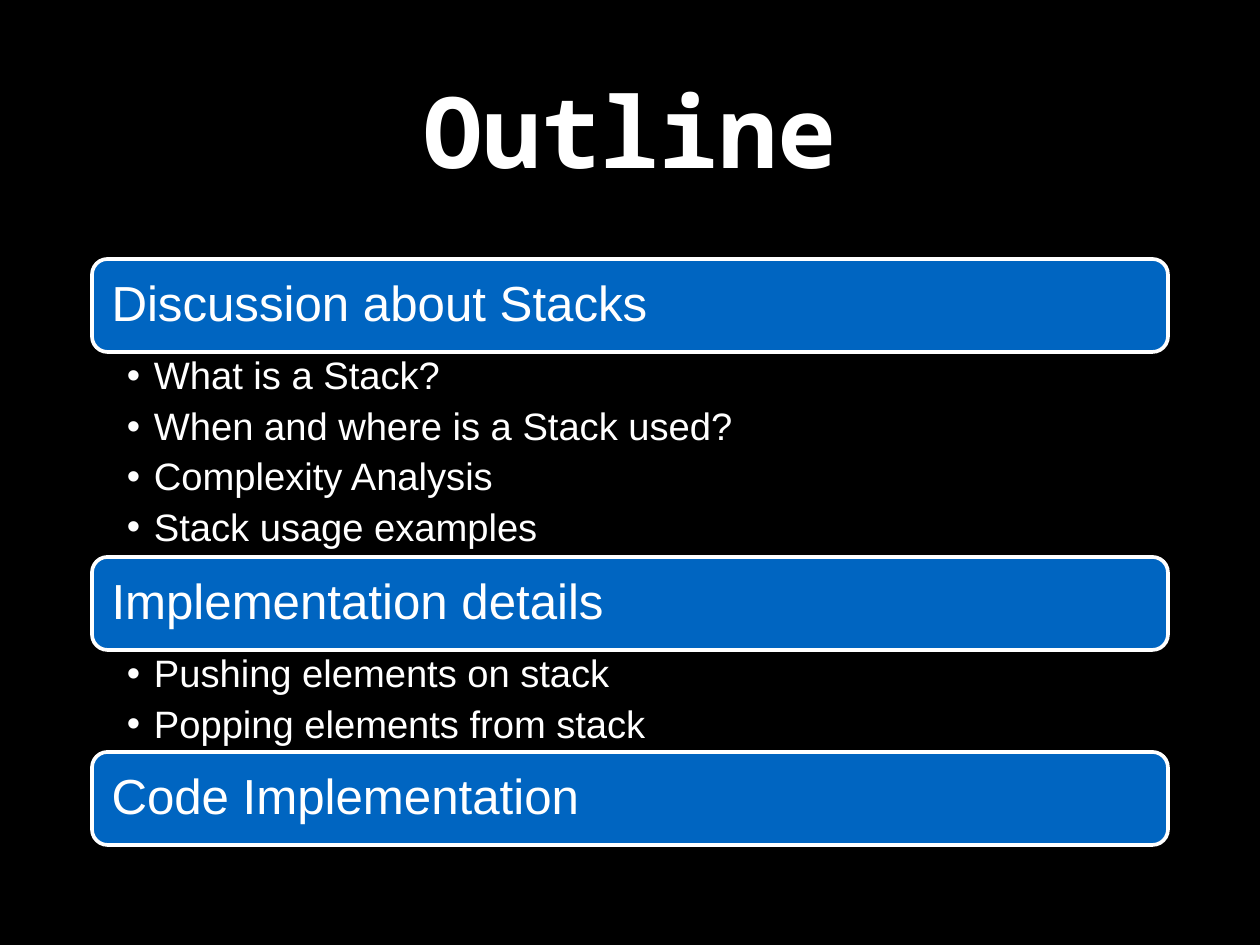
from dataclasses import dataclass

from lxml.etree import SubElement
from pptx import Presentation
from pptx.dml.color import RGBColor
from pptx.enum.shapes import MSO_SHAPE
from pptx.enum.text import MSO_ANCHOR, PP_ALIGN
from pptx.oxml.ns import qn
from pptx.util import Pt

EMU_PER_PX = 10320
LEFT, WIDTH = 92, 1076
OUTLINE_TOP, BAR_HEIGHT = 259, 93

SECTIONS = [
    ("Discussion about Stacks", 205, [
        "What is a Stack?",
        "When and where is a Stack used?",
        "Complexity Analysis",
        "Stack usage examples",
    ]),
    ("Implementation details", 102, [
        "Pushing elements on stack",
        "Popping elements from stack",
    ]),
    ("Code Implementation", 0, []),
]


@dataclass(frozen=True)
class Theme:
    background: RGBColor = RGBColor(0x00, 0x00, 0x00)
    text: RGBColor = RGBColor(0xFF, 0xFF, 0xFF)
    bar: RGBColor = RGBColor(0x00, 0x65, 0xC1)
    title_font: str = "Noto Sans Mono"
    body_font: str = "Arial"
    title_size: int = 80
    heading_size: int = 40
    item_size: int = 31
    outline: int = 3


THEME = Theme()


def px(length):
    return length * EMU_PER_PX


def area(top, height):
    return px(LEFT), px(top), px(WIDTH), px(height)


def set_frame(shape, anchor, insets):
    frame = shape.text_frame
    frame.word_wrap = True
    frame.vertical_anchor = anchor
    (frame.margin_left, frame.margin_top,
     frame.margin_right, frame.margin_bottom) = map(px, insets)
    return frame


def write(para, text, *, size, font=THEME.body_font, bold=False,
          align=PP_ALIGN.LEFT, line_spacing=None, space_after=0):
    para.alignment = align
    para.line_spacing = line_spacing
    para.space_after = Pt(space_after)
    span = para.add_run()
    span.text = text
    span.font.name = font
    span.font.size = Pt(size)
    span.font.bold = bold
    span.font.color.rgb = THEME.text


def add_bullet(para, indent):
    properties = para._p.get_or_add_pPr()
    properties.set("marL", str(px(indent)))
    properties.set("indent", str(px(-indent)))
    SubElement(properties, qn("a:buFont"), typeface=THEME.body_font)
    SubElement(properties, qn("a:buChar"), char="•")


def add_title(page, text):
    box = page.shapes.add_textbox(*area(25, 209))
    frame = set_frame(box, MSO_ANCHOR.MIDDLE, (5, 5, 5, 5))
    write(frame.paragraphs[0], text, size=THEME.title_size,
          font=THEME.title_font, bold=True, align=PP_ALIGN.CENTER)


def add_heading_bar(page, text, top):
    bar = page.shapes.add_shape(MSO_SHAPE.ROUNDED_RECTANGLE, *area(top, BAR_HEIGHT))
    bar.shadow.inherit = False
    bar.fill.solid()
    bar.fill.fore_color.rgb = THEME.bar
    bar.line.color.rgb = THEME.text
    bar.line.width = Pt(THEME.outline)
    frame = set_frame(bar, MSO_ANCHOR.MIDDLE, (15, 15, 15, 15))
    write(frame.paragraphs[0], text, size=THEME.heading_size, line_spacing=0.9)


def add_item_list(page, items, top, height):
    box = page.shapes.add_textbox(*area(top, height))
    frame = set_frame(box, MSO_ANCHOR.TOP, (35, 5, 27, 5))
    for index, item in enumerate(items):
        para = frame.add_paragraph() if index else frame.paragraphs[0]
        write(para, item, size=THEME.item_size, line_spacing=0.9, space_after=7.5)
        add_bullet(para, 27)


def main():
    deck = Presentation()
    deck.slide_width, deck.slide_height = px(1260), px(945)
    page = deck.slides.add_slide(deck.slide_layouts[6])
    page.background.fill.solid()
    page.background.fill.fore_color.rgb = THEME.background

    add_title(page, "Outline")
    top = OUTLINE_TOP
    for heading, list_height, items in SECTIONS:
        add_heading_bar(page, heading, top)
        top += BAR_HEIGHT
        if items:
            add_item_list(page, items, top, list_height)
        top += list_height

    deck.save("out.pptx")


if __name__ == "__main__":
    main()
